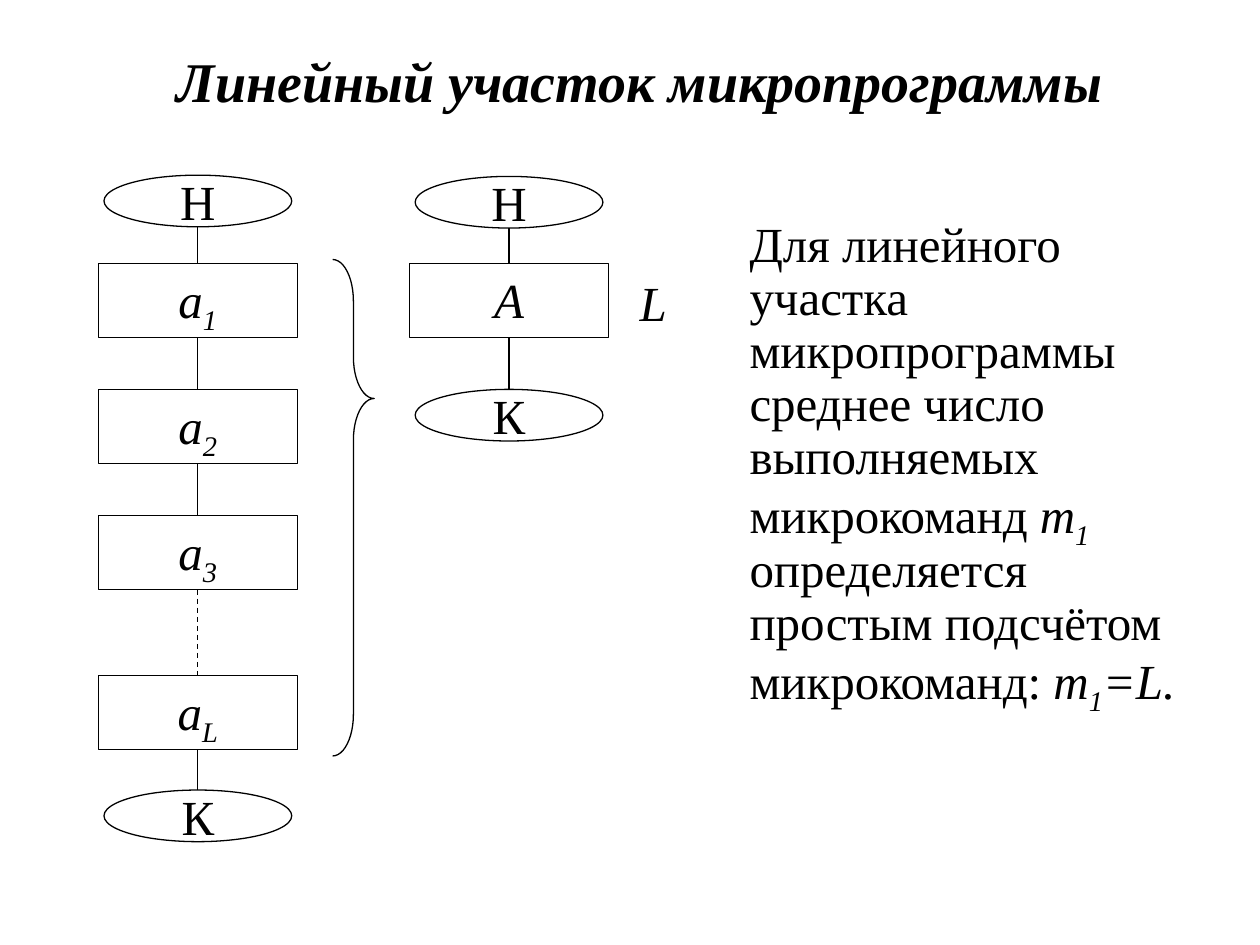
from itertools import pairwise

from lxml.etree import SubElement
from pptx import Presentation
from pptx.dml.color import RGBColor
from pptx.enum.dml import MSO_LINE
from pptx.enum.shapes import MSO_CONNECTOR, MSO_SHAPE
from pptx.enum.text import MSO_ANCHOR, PP_ALIGN
from pptx.oxml.ns import qn
from pptx.util import Inches, Pt

COLORS = {"ink": "000000"}
INK = RGBColor.from_string(COLORS["ink"])
BODY = {"name": "Times New Roman", "size": Pt(28)}
TITLE = {"name": "Times New Roman", "size": Pt(32), "bold": True, "italic": True}
BLOCK_W, BLOCK_H = 1.58, 0.59
TERMINAL_W, TERMINAL_H = 1.49, 0.41


def set_box(shape, left, top, width, height):
    box = {"left": left, "top": top, "width": width, "height": height}
    for name, value in box.items():
        setattr(shape, name, Inches(value))


def write(paragraph, pieces, font_format=BODY):
    """Add (text, style) pieces; style may hold "i" for italic and "_" for subscript."""
    for text, style in pieces:
        run = paragraph.add_run()
        run.text = text
        for name, value in font_format.items():
            setattr(run.font, name, value)
        run.font.color.rgb = INK
        if "i" in style:
            run.font.italic = True
        if "_" in style:
            run._r.get_or_add_rPr().set("baseline", "-25000")


def add_outline(slide, preset, left, top, width, height):
    shape = slide.shapes.add_shape(
        preset, Inches(left), Inches(top), Inches(width), Inches(height))
    shape.shadow.inherit = False
    shape.fill.background()
    shape.line.color.rgb = INK
    shape.line.width = Pt(0.75)
    return shape


def add_node(slide, preset, axis, top, pieces):
    """Add a flowchart node centred on a vertical axis."""
    terminal = preset == MSO_SHAPE.OVAL
    width, height = (TERMINAL_W, TERMINAL_H) if terminal else (BLOCK_W, BLOCK_H)
    node = add_outline(slide, preset, axis - width / 2, top, width, height)
    frame = node.text_frame
    frame.vertical_anchor = MSO_ANCHOR.MIDDLE if terminal else MSO_ANCHOR.TOP
    if terminal:
        frame.margin_top = frame.margin_bottom = 0
    frame.paragraphs[0].alignment = PP_ALIGN.CENTER
    write(frame.paragraphs[0], pieces)
    return node


def join(slide, upper, lower, dashed):
    link = slide.shapes.add_connector(MSO_CONNECTOR.STRAIGHT, 0, 0, 0, 0)
    link.begin_connect(upper, 2)
    link.end_connect(lower, 0)
    if upper.auto_shape_type == MSO_SHAPE.OVAL:
        # An ellipse has eight connection sites, and its bottom is number 4.
        link._element.find(".//" + qn("a:stCxn")).set("idx", "4")
    link.line.color.rgb = INK
    link.line.width = Pt(0.75)
    if dashed:
        link.line.dash_style = MSO_LINE.DASH
    SubElement(link._element.spPr, qn("a:effectLst"))


def add_flowchart(slide, left, top, blocks, block_tops, end_top, dashed_link=None):
    """Draw start, blocks and end; tops are measured from the chart's own top."""
    axis = left + BLOCK_W / 2
    nodes = [add_node(slide, MSO_SHAPE.OVAL, axis, top, [("Н", "")])]
    for pieces, offset in zip(blocks, block_tops):
        nodes.append(add_node(slide, MSO_SHAPE.RECTANGLE, axis, top + offset, pieces))
    nodes.append(add_node(slide, MSO_SHAPE.OVAL, axis, top + end_top, [("К", "")]))
    for index, (upper, lower) in enumerate(pairwise(nodes)):
        join(slide, upper, lower, index == dashed_link)


def add_text(slide, left, top, width, height, pieces):
    label = slide.shapes.add_textbox(
        Inches(left), Inches(top), Inches(width), Inches(height))
    label.text_frame.word_wrap = True
    paragraph = label.text_frame.paragraphs[0]
    write(paragraph, pieces)
    return paragraph


def add_title(slide, left, top, width, height):
    title = slide.shapes.title
    set_box(title, left, top, width, height)
    title.text_frame.vertical_anchor = MSO_ANCHOR.MIDDLE
    paragraph = title.text_frame.paragraphs[0]
    paragraph.alignment = PP_ALIGN.CENTER
    write(paragraph, [("Линейный участок микропрограммы", "")], TITLE)


def add_brace(slide, left, top, width, height):
    brace = add_outline(slide, MSO_SHAPE.RIGHT_BRACE, left, top, width, height)
    brace.adjustments[0] = 1.0
    brace.adjustments[1] = 0.28


def add_explanation(slide, left, top, width, height):
    paragraph = add_text(slide, left, top, width, height, [
        ("Для линейного участка микропрограммы среднее число "
         "выполняемых микрокоманд ", ""),
        ("m", "i"), ("1", "i_"),
        (" определяется простым подсчётом микрокоманд: ", ""),
        ("m", "i"), ("1", "i_"), ("=L.", "i"),
    ])
    paragraph.line_spacing = 0.9
    paragraph._p.get_or_add_pPr().set("marL", str(Inches(0.38)))


def main():
    presentation = Presentation()
    presentation.slide_width, presentation.slide_height = Inches(10), Inches(7.5)
    slide = presentation.slides.add_slide(presentation.slide_layouts[5])
    add_title(slide, 0.83, 0.28, 8.5, 0.71)
    commands = [[("a", "i"), (index, "i_")] for index in "123L"]
    add_flowchart(slide, 0.78, 1.39, commands, (0.7, 1.7, 2.7, 3.97), 4.88,
                  dashed_link=3)
    add_brace(slide, 2.64, 2.06, 0.33, 3.94)
    add_flowchart(slide, 3.25, 1.4, [[("A", "i")]], (0.69,), 1.69)
    length_label = add_text(slide, 4.79, 2.11, 0.79, 0.56, [("L", "i")])
    length_label.alignment = PP_ALIGN.CENTER
    add_explanation(slide, 5.47, 1.7, 4.25, 4.33)
    presentation.save("out.pptx")


if __name__ == "__main__":
    main()
